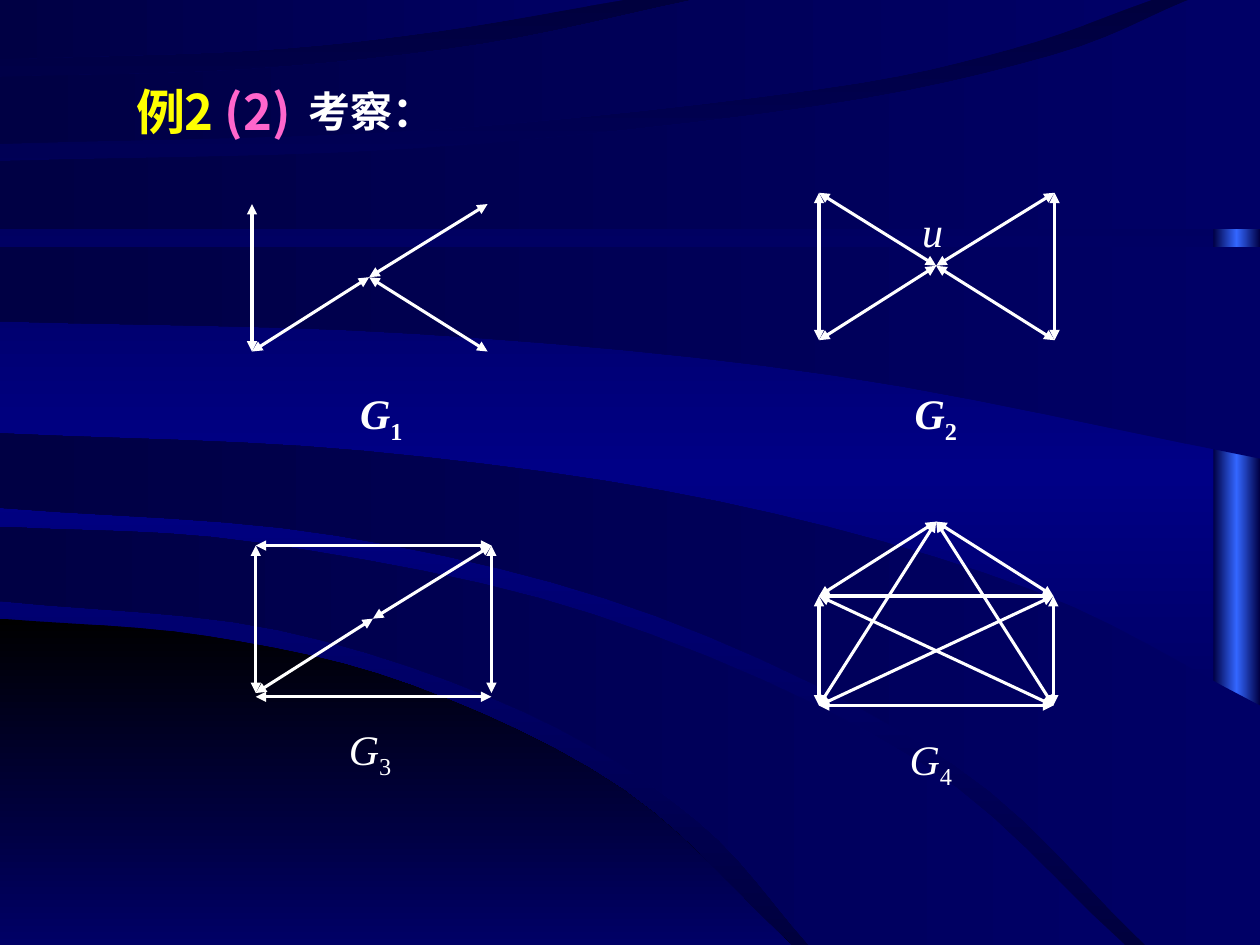
from lxml import etree
from pptx import Presentation
from pptx.dml.color import RGBColor
from pptx.enum import shapes, text
from pptx.oxml.ns import qn
from pptx import util as u

HUES = {
    "white": "FFFFFF", "yellow": "FFFF00", "pink": "FF66CC",
    "black": "000000", "deep": "00003E", "navy": "000086",
    "dark": "000044", "blue": "000066", "light": "3366FF",
}
SERIF, SANS = "Times New Roman", "Noto Sans CJK SC"
WIDE, HIGH = 10, 7.5
STEPS = 6

HILL = (
    [(0, 4.91), (1.65, 5.05), (3.27, 5.44), (4.95, 6.27), (6.28, HIGH)],
    [],
    [(0, HIGH), (6.28, HIGH)],
)
BANDS = [
    ([(0, 4.18), (2.06, 4.31), (4.72, 4.88), (7.27, 6.03), (8.93, HIGH)],
     [],
     [(0, 4.77), (2.21, 5), (4.16, 5.65), (5.53, 6.51), (6.42, HIGH)]),
    ([(0, 3.44), (2.89, 3.58), (5.7, 3.98), (8.18, 4.68), (WIDE, 5.6)],
     [(WIDE, HIGH)],
     [(0, 4.03), (2.67, 4.25), (5.21, 4.89), (7.56, 6.06), (9.09, HIGH)]),
    ([(0, 1.96), (WIDE, 1.96)],
     [],
     [(0, 2.55), (3.32, 2.65), (6.62, 2.98), (WIDE, 3.64)]),
    ([(0, 1.28), (3.29, 1.18), (6.44, .85), (8.35, .44), (9.43, 0)],
     [(WIDE, 0)],
     [(0, 1.82), (WIDE, 1.82)]),
    ([(0, .61), (1.97, .55), (3.83, .35), (5.5, 0)],
     [],
     [(0, 1.14), (3.41, 1.03), (6.48, .71), (8.02, .39), (9.14, 0)]),
    ([(0, 0), (4.95, 0)],
     [],
     [(0, .47), (2.02, .4), (3.46, .25), (4.95, 0)]),
]

CROSS = {"a": (0, 0), "b": (1.87, 0), "c": (0, 1.17), "d": (1.87, 1.17), "m": (.93, .58)}
FRAME = {**CROSS, "e": (0, 1.2), "f": (1.87, 1.2)}
HOUSE = {"t": (.93, 0), "a": (0, .59), "b": (1.86, .59), "c": (0, 1.46), "d": (1.86, 1.46)}
GRAPHS = [
    ((2, 1.62), CROSS, "md mb ca mc"),
    ((2.03, 4.33), FRAME, "ef mb ca ab mc bd"),
    ((6.5, 4.14), HOUSE, "cd ab at ad tb bd ac cb tc td"),
    ((6.5, 1.53), CROSS, "md mb ca am mc bd"),
]
LABELS = [
    ("G", "1", (2.76, 3.03, .54, .56), True),
    ("G", "2", (7.16, 3.03, .55, .56), True),
    ("G", "3", (2.67, 5.69, .69, .56), False),
    ("G", "4", (7.12, 5.77, .69, .56), False),
    ("u", "", (7.22, 1.58, .69, .5), False),
]
HEAD = [("例2 ", "yellow"), ("(2)", "pink")]


def cm(*vals):
    return [u.Cm(v * 2.54) for v in vals]


def hue(name):
    return RGBColor.from_string(HUES[name])


def fade(fill, root, names, ang):
    fill.gradient()
    fill.gradient_angle = 360 - ang
    stops = root.find(".//" + qn("a:gsLst"))
    for old in list(stops):
        stops.remove(old)
    for i, name in enumerate(names):
        stop = etree.SubElement(stops, qn("a:gs"), pos=str(i * 100000 // (len(names) - 1)))
        etree.SubElement(stop, qn("a:srgbClr"), val=HUES[name])


def paint(shape, names, ang):
    shape.shadow.inherit = False
    shape.line.fill.background()
    fade(shape.fill, shape._element, names, ang)


def blend(a, b, c, d, t):
    return b + t * (c - a + t * (2 * a - 5 * b + 4 * c - d + t * (3 * (b - c) + d - a))) / 2


def bend(knots):
    first = [2 * p - q for p, q in zip(knots[0], knots[1])]
    last = [2 * p - q for p, q in zip(knots[-1], knots[-2])]
    row = [first, *knots, last]
    pts = [
        [blend(*axis, k / STEPS) for axis in zip(*row[i:i + 4])]
        for i in range(len(knots) - 1) for k in range(STEPS)
    ]
    return pts + [knots[-1]]


def sweep(edges, names, ang):
    upper, corner, lower = edges
    spots = [cm(*p) for p in bend(upper) + corner + bend(lower)[::-1]]
    pen = slide.shapes.build_freeform(*spots[0])
    pen.add_line_segments(spots[1:], close=True)
    paint(pen.convert_to_shape(), names, ang)


def arrow(group, start, end):
    link = group.shapes.add_connector(shapes.MSO_CONNECTOR.STRAIGHT, *cm(*start), *cm(*end))
    link.line.color.rgb = hue("white")
    link.line.width = u.Pt(1.75)
    for tag in ("a:headEnd", "a:tailEnd"):
        etree.SubElement(link.line._ln, qn(tag), type="triangle")
    etree.SubElement(link._element.spPr, qn("a:effectLst"))


def write(box, runs, size, face, bold, wrap=True):
    frame = box.text_frame
    frame.word_wrap = wrap
    frame.auto_size = text.MSO_AUTO_SIZE.NONE
    frame.vertical_anchor = text.MSO_ANCHOR.TOP
    para = frame.paragraphs[0]
    para.alignment = text.PP_ALIGN.LEFT
    para.line_spacing = 1
    para.space_before = u.Pt(0)
    font = para.font
    font.size, font.name, font.bold = u.Pt(size), face, bold
    for words, name in runs:
        run = para.add_run()
        run.text = words
        run.font.color.rgb = hue(name)
        etree.SubElement(run.font._element, qn("a:ea"), typeface=SANS)
    return para


deck = Presentation()
deck.slide_width, deck.slide_height = cm(WIDE, HIGH)
slide = deck.slides.add_slide(deck.slide_layouts[5])
fade(slide.background.fill, slide.element, ("deep", "navy", "deep"), 90)

bar = slide.shapes.add_shape(shapes.MSO_SHAPE.RECTANGLE, *cm(9.63, 0, .37, HIGH))
paint(bar, ("dark", "light", "dark"), 180)
sweep(HILL, ("black", "blue"), 90)
for band in BANDS:
    sweep(band, ("blue", "dark"), 180)

title = slide.shapes.title
title.left, title.top, title.width, title.height = cm(.98, .6, 1.96, .57)
write(title, HEAD, 28, SANS, True)
slide.shapes._spTree.append(title._element)
note = slide.shapes.add_textbox(*cm(2.35, .63, 1.45, .5))
write(note, [("考察：", "white")], 24, SERIF, True)

for (x, y), nodes, edges in GRAPHS:
    group = slide.shapes.add_group_shape()
    for edge in edges.split():
        arrow(group, *[(x + nodes[n][0], y + nodes[n][1]) for n in edge])

for sign, sub, area, bold in LABELS:
    runs = [(part, "white") for part in (sign, sub) if part]
    para = write(slide.shapes.add_textbox(*cm(*area)), runs, 24, SERIF, bold, not bold)
    para.runs[0].font.italic = True
    for run in para.runs[1:]:
        run.font._element.set("baseline", "-25000")

deck.save("out.pptx")
